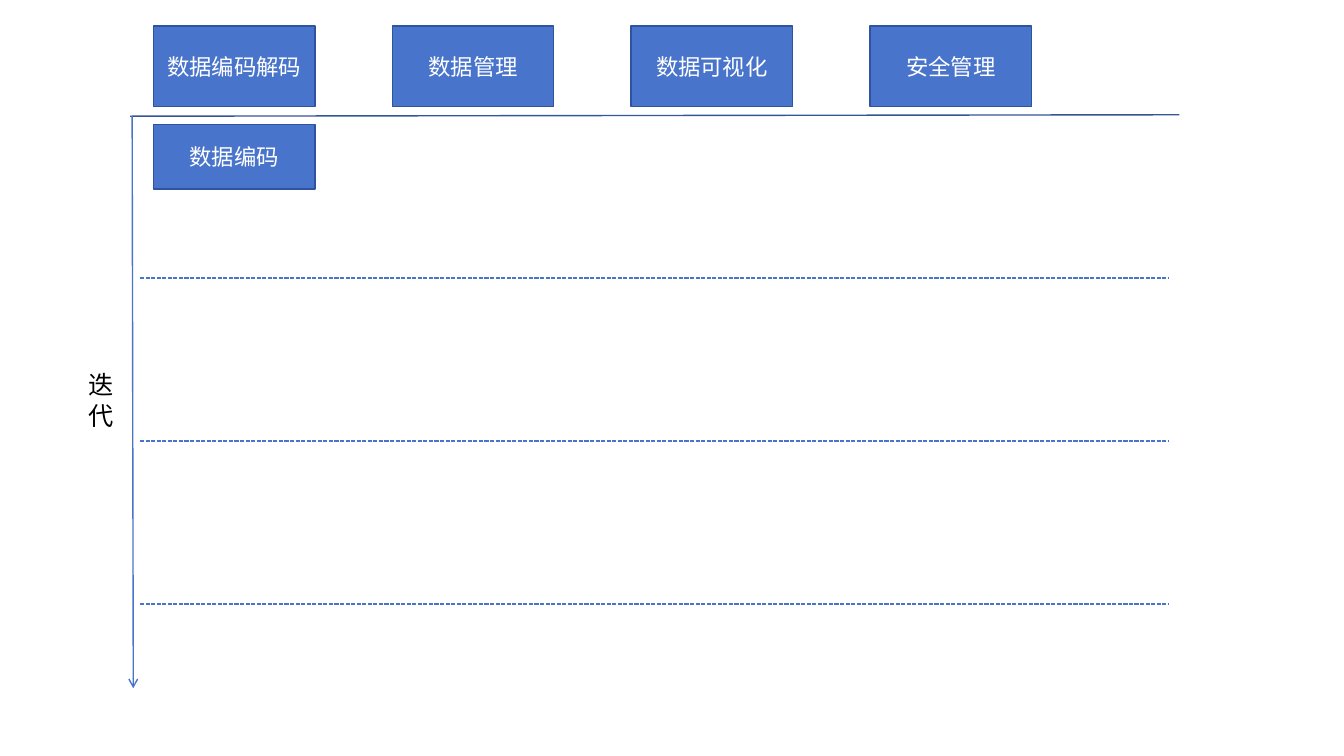
from lxml import etree
from pptx import Presentation
from pptx.dml.color import RGBColor
from pptx.enum import dml, shapes, text
from pptx.oxml import ns
from pptx.util import Pt

COLORS = {"fill": "4874CB", "border": "2E54A1", "axis": "355696",
          "label": "000000", "box_text": "FFFFFF"}


def add_line(x1, y1, x2, y2, color):
    c = s.shapes.add_connector(shapes.MSO_CONNECTOR.STRAIGHT,
                               Pt(x1), Pt(y1), Pt(x2), Pt(y2))
    c.line.color.rgb = RGBColor.from_string(COLORS[color])
    c.line.width = Pt(1)
    etree.SubElement(c._element.spPr, ns.qn("a:effectLst"))
    return c


def write_text(sp, words, size, color, align):
    tf = sp.text_frame
    tf.word_wrap = True
    p = tf.paragraphs[0]
    p.alignment = align
    r = p.add_run()
    r.text = words
    for name, value in {"size": Pt(size), "name": "Arial"}.items():
        setattr(r.font, name, value)
    r.font.color.rgb = RGBColor.from_string(COLORS[color])


prs = Presentation()
prs.slide_width, prs.slide_height = Pt(960), Pt(540)
s = prs.slides.add_slide(prs.slide_layouts[6])

# Axes: modules run across, iterations run down
add_line(93, 83, 842.5, 82, "axis")
iteration_axis = add_line(94.4, 83, 95.2, 491.6, "fill")
etree.SubElement(iteration_axis.line._get_or_add_ln(), ns.qn("a:tailEnd"), type="arrow")

label = s.shapes.add_textbox(Pt(56.2), Pt(260.6), Pt(37.4), Pt(51))
write_text(label, "迭代", 18, "label", text.PP_ALIGN.JUSTIFY)

# Iteration dividers
for row in range(3):
    y = 198.6 + row * 116.4
    divider = add_line(100, y, 834.6, y, "fill")
    divider.line.dash_style = dml.MSO_LINE.SQUARE_DOT

# Module headers, then the first item: (words, column, top, height)
modules = ["数据编码解码", "数据管理", "数据可视化", "安全管理"]
boxes = [(words, column, 18.6, 57.6) for column, words in enumerate(modules)]
boxes.append(("数据编码", 0, 88.8, 46.2))
for words, column, top, height in boxes:
    sp = s.shapes.add_shape(shapes.MSO_SHAPE.RECTANGLE, Pt(109.6 + column * 170.6),
                            Pt(top), Pt(115.4), Pt(height))
    sp.shadow.inherit = False
    sp.fill.solid()
    sp.fill.fore_color.rgb = RGBColor.from_string(COLORS["fill"])
    sp.line.color.rgb = RGBColor.from_string(COLORS["border"])
    sp.line.width = Pt(1)
    sp.text_frame.vertical_anchor = text.MSO_ANCHOR.MIDDLE
    write_text(sp, words, 16, "box_text", text.PP_ALIGN.CENTER)

prs.save("out.pptx")
